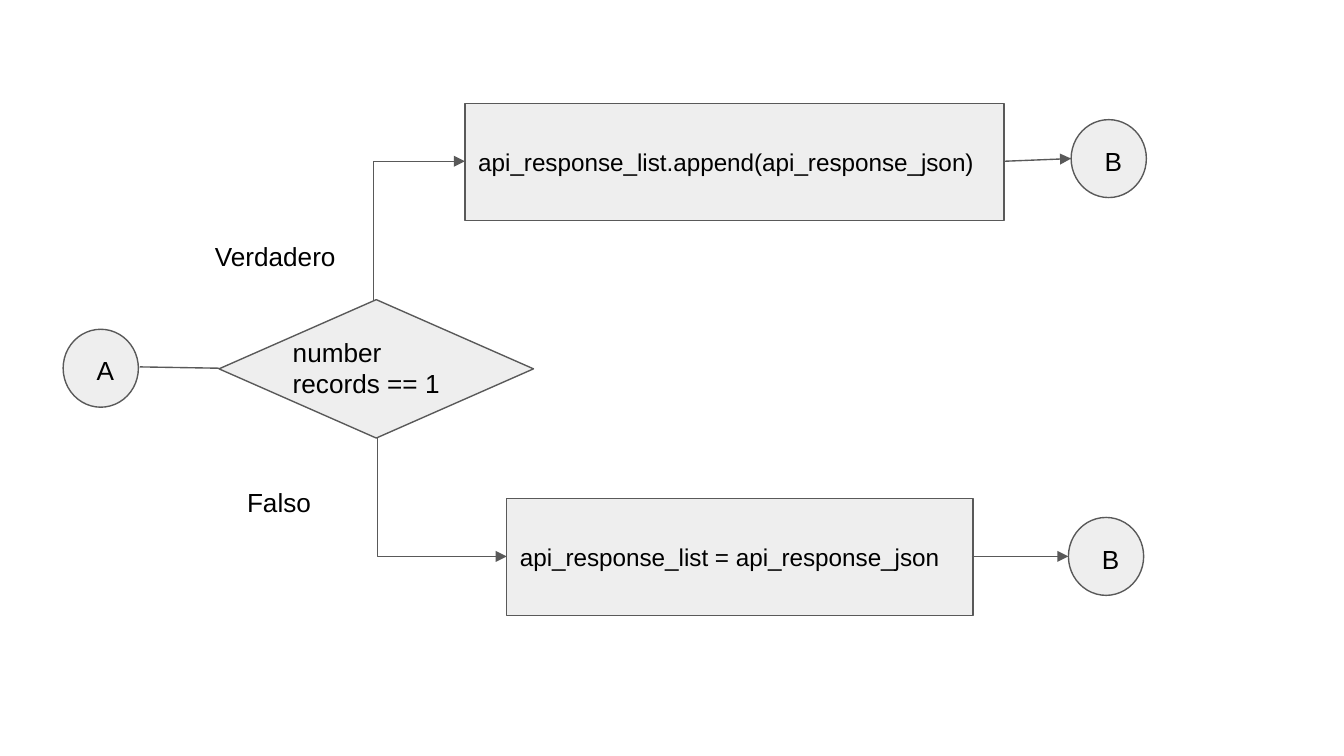
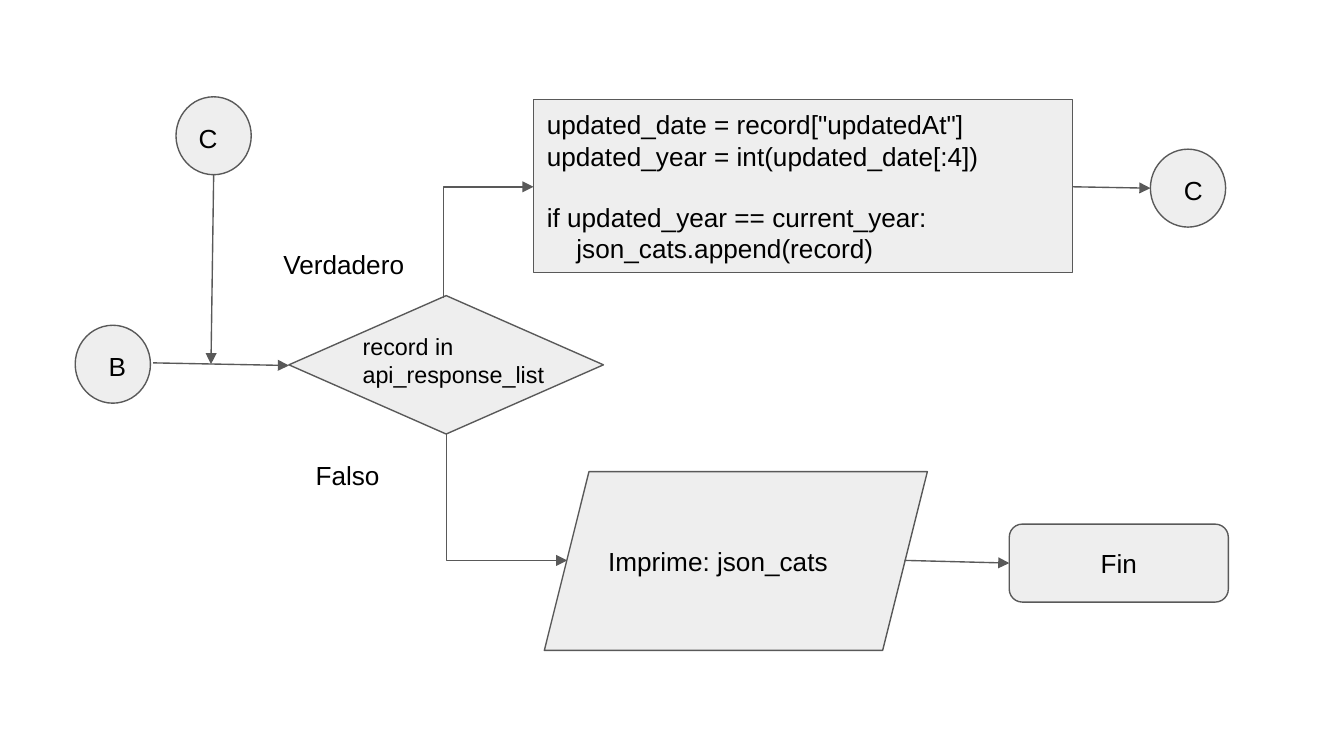
from lxml import etree
from pptx import Presentation
from pptx.dml.color import RGBColor
from pptx.enum.shapes import MSO_CONNECTOR, MSO_SHAPE
from pptx.enum.text import MSO_ANCHOR, MSO_AUTO_SIZE, PP_ALIGN
from pptx.oxml.ns import qn
from pptx.util import Inches, Pt

STRAIGHT, ELBOW = MSO_CONNECTOR.STRAIGHT, MSO_CONNECTOR.ELBOW
RECTANGLE, ELLIPSE, DIAMOND = MSO_SHAPE.RECTANGLE, MSO_SHAPE.OVAL, MSO_SHAPE.DIAMOND
PARALLELOGRAM, ROUNDED = MSO_SHAPE.PARALLELOGRAM, MSO_SHAPE.ROUNDED_RECTANGLE
TOP, MIDDLE = MSO_ANCHOR.TOP, MSO_ANCHOR.MIDDLE
LEFT, CENTER = PP_ALIGN.LEFT, PP_ALIGN.CENTER
GROW = MSO_AUTO_SIZE.SHAPE_TO_FIT_TEXT

COLORS = {"fill": "EEEEEE", "line": "595959", "text": "000000"}
FONT = {"name": "Arial", "bold": False}
FRAME = {"word_wrap": True}
FRAME.update({f"margin_{side}": Inches(0.1) for side in ("left", "top", "right", "bottom")})
LINE_WIDTH = Pt(0.75)
CIRCLE_SIZE = (0.56, 0.58)
DECISION_SIZE = (2.34, 1.03)


def color(name):
    return RGBColor.from_string(COLORS[name])


def apply_format(target, values):
    for name, value in values.items():
        setattr(target, name, value)


class Flowchart:
    """Holds the presentation, the shared style and the current slide."""

    def __init__(self):
        self.presentation = Presentation()
        self.presentation.slide_width = Inches(10)
        self.presentation.slide_height = Inches(5.625)
        self.slide = None

    def new_slide(self):
        self.slide = self.presentation.slides.add_slide(self.presentation.slide_layouts[6])

    def fill_text(self, shape, lines, size=14, align=LEFT, anchor=TOP):
        frame = shape.text_frame
        apply_format(frame, {**FRAME, "vertical_anchor": anchor})
        for index, line in enumerate(lines):
            paragraph = frame.paragraphs[0] if index == 0 else frame.add_paragraph()
            paragraph.alignment = align
            run = paragraph.add_run()
            run.text = line
            apply_format(run.font, {**FONT, "size": Pt(size)})
            run.font.color.rgb = color("text")

    def label(self, left, top, width, height, *lines, size=14):
        box = self.slide.shapes.add_textbox(*map(Inches, (left, top, width, height)))
        self.fill_text(box, lines, size)
        box.text_frame.auto_size = GROW

    def block(self, kind, left, top, width, height, *lines, size=14, align=LEFT):
        shape = self.slide.shapes.add_shape(kind, *map(Inches, (left, top, width, height)))
        shape.shadow.inherit = False
        shape.fill.solid()
        shape.fill.fore_color.rgb = color("fill")
        shape.line.color.rgb = color("line")
        shape.line.width = LINE_WIDTH
        self.fill_text(shape, lines, size, align, MIDDLE)
        return shape

    def circle(self, left, top, letter, shift=0.15):
        self.block(ELLIPSE, left, top, *CIRCLE_SIZE)
        self.label(left + shift, top + 0.09, 0.43, 0.44, letter)

    def decision(self, left, top, text_height, *lines, size=14):
        self.block(DIAMOND, left, top, *DECISION_SIZE)
        self.label(left + 0.45, top + 0.17, 1.8, text_height, *lines, size=size)

    def connector(self, kind, start, end, arrow="tailEnd"):
        connector = self.slide.shapes.add_connector(kind, *map(Inches, (*start, *end)))
        connector.line.color.rgb = color("line")
        connector.line.width = LINE_WIDTH
        properties = connector._element.spPr
        if arrow:
            etree.SubElement(properties.find(qn("a:ln")), qn("a:" + arrow), type="triangle")
        etree.SubElement(properties, qn("a:effectLst"))
        return connector

    def straight(self, start, end, arrow="tailEnd"):
        self.connector(STRAIGHT, start, end, arrow)

    def branch(self, start, end):
        """Leaves a decision vertically and enters a block horizontally."""
        (x1, y1), (x2, y2) = start, end
        upward = y2 < y1
        width, height = abs(x2 - x1), abs(y2 - y1)
        if upward:  # the quarter turn swaps the sides
            width, height = height, width
        left, top = (x1 + x2 - width) / 2, (y1 + y2 - height) / 2
        connector = self.connector(ELBOW, (left, top), (left + width, top + height),
                                   "tailEnd" if upward else "headEnd")
        properties = connector._element.spPr
        properties.find(qn("a:prstGeom")).set("prst", "bentConnector2")
        properties.find(qn("a:xfrm")).set("rot", str((270 if upward else 180) * 60000))


def build_response_slide(chart):
    chart.new_slide()
    # Decision and its entry
    chart.straight((1.04, 2.73), (1.63, 2.74), arrow=None)
    chart.decision(1.63, 2.23, 0.67, "number", "records == 1")
    chart.circle(0.47, 2.45, "A")
    # True branch
    chart.block(RECTANGLE, 3.46, 0.77, 4.01, 0.87,
                "api_response_list.append(api_response_json)", size=13)
    chart.branch((2.78, 2.24), (3.46, 1.2))
    chart.label(1.5, 1.69, 1.2, 0.44, "Verdadero")
    chart.circle(7.97, 0.89, "B")
    chart.straight((7.47, 1.2), (7.97, 1.18))
    # False branch
    chart.block(RECTANGLE, 3.77, 3.71, 3.47, 0.87,
                "api_response_list = api_response_json", size=13)
    chart.branch((2.81, 3.26), (3.77, 4.14))
    chart.label(1.74, 3.52, 0.84, 0.44, "Falso")
    chart.circle(7.95, 3.85, "B")
    chart.straight((7.23, 4.14), (7.95, 4.14))


def build_loop_slide(chart):
    chart.new_slide()
    # Decision and its entries
    chart.straight((1.14, 2.7), (2.15, 2.72))
    chart.decision(2.15, 2.2, 0.62, "record in api_response_list", size=12.5)
    chart.circle(0.56, 2.42, "B")
    chart.circle(1.31, 0.72, "C", shift=0.07)
    chart.straight((1.59, 1.3), (1.57, 2.71))
    # True branch, with a gap and an indent in the code
    code = chart.block(RECTANGLE, 3.97, 0.74, 4.01, 1.29,
                       'updated_date = record["updatedAt"]',
                       "updated_year = int(updated_date[:4])",
                       "if updated_year == current_year:",
                       "json_cats.append(record)")
    condition, action = code.text_frame.paragraphs[2:]
    condition.space_before = Pt(16)
    action._p.get_or_add_pPr().set("marL", str(Inches(0.22)))
    chart.branch((3.3, 2.22), (3.97, 1.39))
    chart.label(2.01, 1.75, 1.2, 0.44, "Verdadero")
    chart.circle(8.56, 1.11, "C")
    chart.straight((7.98, 1.39), (8.56, 1.4))
    # False branch
    chart.branch((3.32, 3.23), (4.22, 4.17))
    chart.label(2.25, 3.32, 0.84, 0.44, "Falso")
    output = chart.block(PARALLELOGRAM, 4.05, 3.51, 2.85, 1.33, "Imprime: json_cats")
    output.adjustments[0] = 0.25
    chart.block(ROUNDED, 7.51, 3.9, 1.63, 0.58, "Fin", align=CENTER)
    chart.straight((6.73, 4.17), (7.51, 4.19))


def main():
    chart = Flowchart()
    build_response_slide(chart)
    build_loop_slide(chart)
    chart.presentation.save("out.pptx")


if __name__ == "__main__":
    main()
